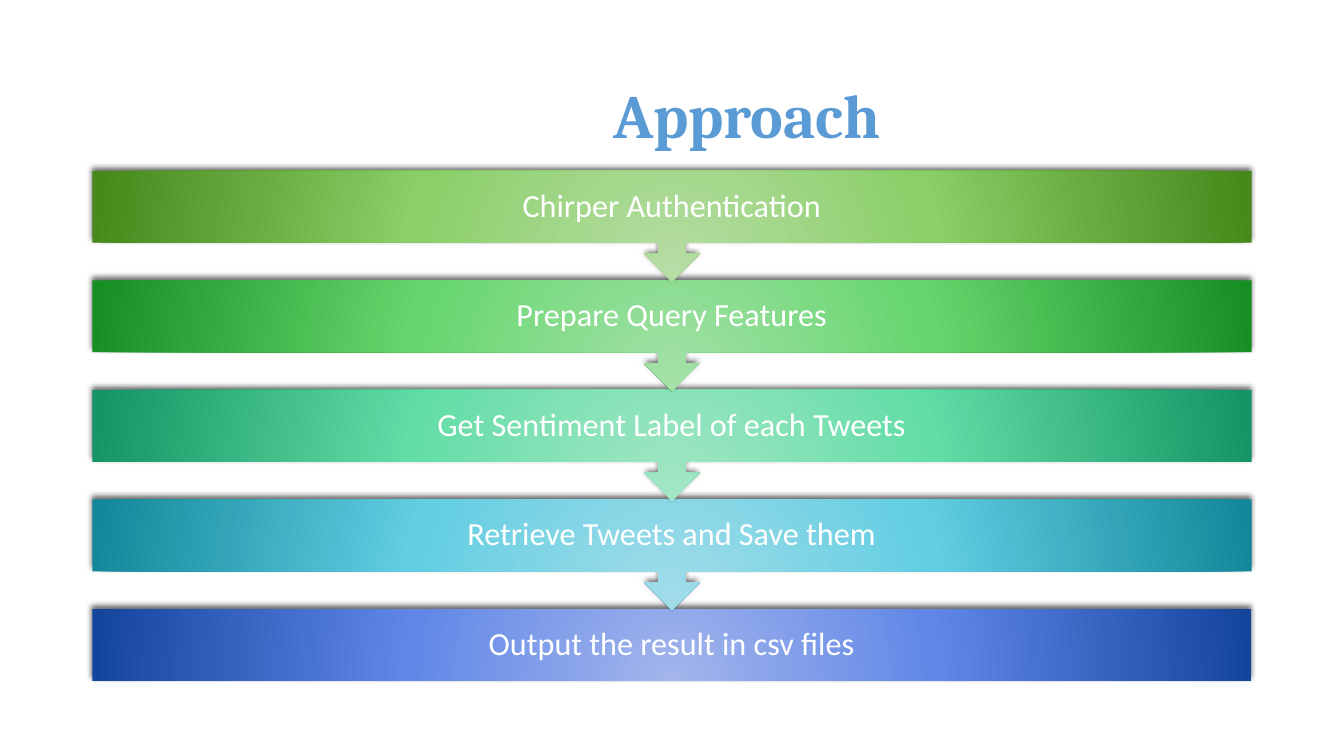
from pptx import Presentation
from pptx.dml.color import RGBColor
from pptx.enum.shapes import MSO_SHAPE
from pptx.enum.text import MSO_ANCHOR, PP_ALIGN
from pptx.oxml import parse_xml
from pptx.oxml.ns import nsdecls, qn
from pptx.util import Pt

WHITE = RGBColor(0xFF, 0xFF, 0xFF)
TITLE_BLUE = RGBColor(0x5B, 0x9B, 0xD5)
BLACK = RGBColor(0, 0, 0)

# Gradient colours from the centre of each bar outwards
GREEN = (RGBColor(0xB7, 0xDD, 0xA7), RGBColor(0x8A, 0xCF, 0x67), RGBColor(0x47, 0x89, 0x1B))
EMERALD = (RGBColor(0xA5, 0xE1, 0xA9), RGBColor(0x65, 0xD6, 0x6D), RGBColor(0x18, 0x8F, 0x25))
MINT = (RGBColor(0xA4, 0xE6, 0xC6), RGBColor(0x62, 0xDD, 0xA6), RGBColor(0x15, 0x95, 0x65))
TEAL = (RGBColor(0xA3, 0xDC, 0xE9), RGBColor(0x61, 0xCE, 0xE2), RGBColor(0x14, 0x88, 0x9A))
BLUE = (RGBColor(0xA3, 0xB5, 0xEC), RGBColor(0x60, 0x87, 0xE7), RGBColor(0x14, 0x45, 0x9D))
GRADIENT_STOPS = (0, 46000, 100000)

STEPS = [
    ("Chirper Authentication", GREEN),
    ("Prepare Query Features", EMERALD),
    ("Get Sentiment Label of each Tweets", MINT),
    ("Retrieve Tweets and Save them", TEAL),
    ("Output the result in csv files", BLUE),
]
STEP_LEFT, STEP_TOP, STEP_WIDTH = 66, 122, 828
STEP_PITCH, BAR_HEIGHT, CALLOUT_HEIGHT = 78.25, 51.4, 79.1


class SlideBuilder:
    """Holds the style and the current slide."""

    title_font, title_size = "Cambria", 44
    body_font, body_size = "Calibri", 23
    inset = Pt(13)

    def __init__(self, page):
        """Keep the slide to draw on."""
        self.page = page

    def format_text(self, frame, font, size, color, bold=False, spacing=0.9):
        """Centre the text of a frame and style its runs."""
        frame.word_wrap = True
        frame.vertical_anchor = MSO_ANCHOR.MIDDLE
        for para in frame.paragraphs:
            para.alignment = PP_ALIGN.CENTER
            para.line_spacing = spacing
            for span in para.runs:
                span.font.name = font
                span.font.size = Pt(size)
                span.font.bold = bold
                span.font.color.rgb = color

    def title(self, text, left, top, width, height):
        """Place and format the title placeholder."""
        box = self.page.shapes.title
        box.left, box.top = Pt(left), Pt(top)
        box.width, box.height = Pt(width), Pt(height)
        box.text_frame.text = text
        self.format_text(box.text_frame, self.title_font, self.title_size,
                         TITLE_BLUE, bold=True, spacing=1.0)

    def step(self, text, colors, top, height, kind):
        """Draw one labelled step bar."""
        bar = self.page.shapes.add_shape(
            kind, Pt(STEP_LEFT), Pt(top), Pt(STEP_WIDTH), Pt(height))
        bar.line.fill.background()
        self.radial_fill(bar, colors)
        self.shadow(bar)
        frame = bar.text_frame
        frame.text = text
        frame.margin_left = frame.margin_right = self.inset
        frame.margin_top = frame.margin_bottom = self.inset
        self.format_text(frame, self.body_font, self.body_size, WHITE)

    def radial_fill(self, shape, colors):
        """Fill a shape with a circular gradient centred below it."""
        shape.fill.background()
        stops = "".join(
            f'<a:gs pos="{position}"><a:srgbClr val="{color}"/></a:gs>'
            for position, color in zip(GRADIENT_STOPS, colors))
        gradient = parse_xml(
            f'<a:gradFill {nsdecls("a")} rotWithShape="1"><a:gsLst>{stops}</a:gsLst>'
            '<a:path path="circle"><a:fillToRect l="50000" t="155000" r="50000" b="-55000"/>'
            '</a:path></a:gradFill>')
        properties = shape._element.spPr
        properties.replace(properties.find(qn("a:noFill")), gradient)

    def shadow(self, shape):
        """Give a shape a soft shadow along its upper edge."""
        shape.shadow.inherit = False
        effects = shape._element.spPr.find(qn("a:effectLst"))
        effects.append(parse_xml(
            f'<a:outerShdw {nsdecls("a")} blurRad="{Pt(4)}" dist="{Pt(3)}" dir="14700000" '
            f'algn="t" rotWithShape="0"><a:srgbClr val="{BLACK}"><a:alpha val="60000"/>'
            '</a:srgbClr></a:outerShdw>'))


def main():
    """Build the deck and save it."""
    deck = Presentation()
    deck.slide_width, deck.slide_height = Pt(960), Pt(540)
    builder = SlideBuilder(deck.slides.add_slide(deck.slide_layouts[5]))
    builder.title("Approach ", 183, 29, 711, 104)

    # Draw from the last step upwards so each arrow overlaps the bar below it
    last = len(STEPS) - 1
    for index, (text, colors) in reversed(list(enumerate(STEPS))):
        top = STEP_TOP + index * STEP_PITCH
        if index == last:
            builder.step(text, colors, top, BAR_HEIGHT, MSO_SHAPE.RECTANGLE)
        else:
            builder.step(text, colors, top, CALLOUT_HEIGHT, MSO_SHAPE.DOWN_ARROW_CALLOUT)
    deck.save("out.pptx")


main()
